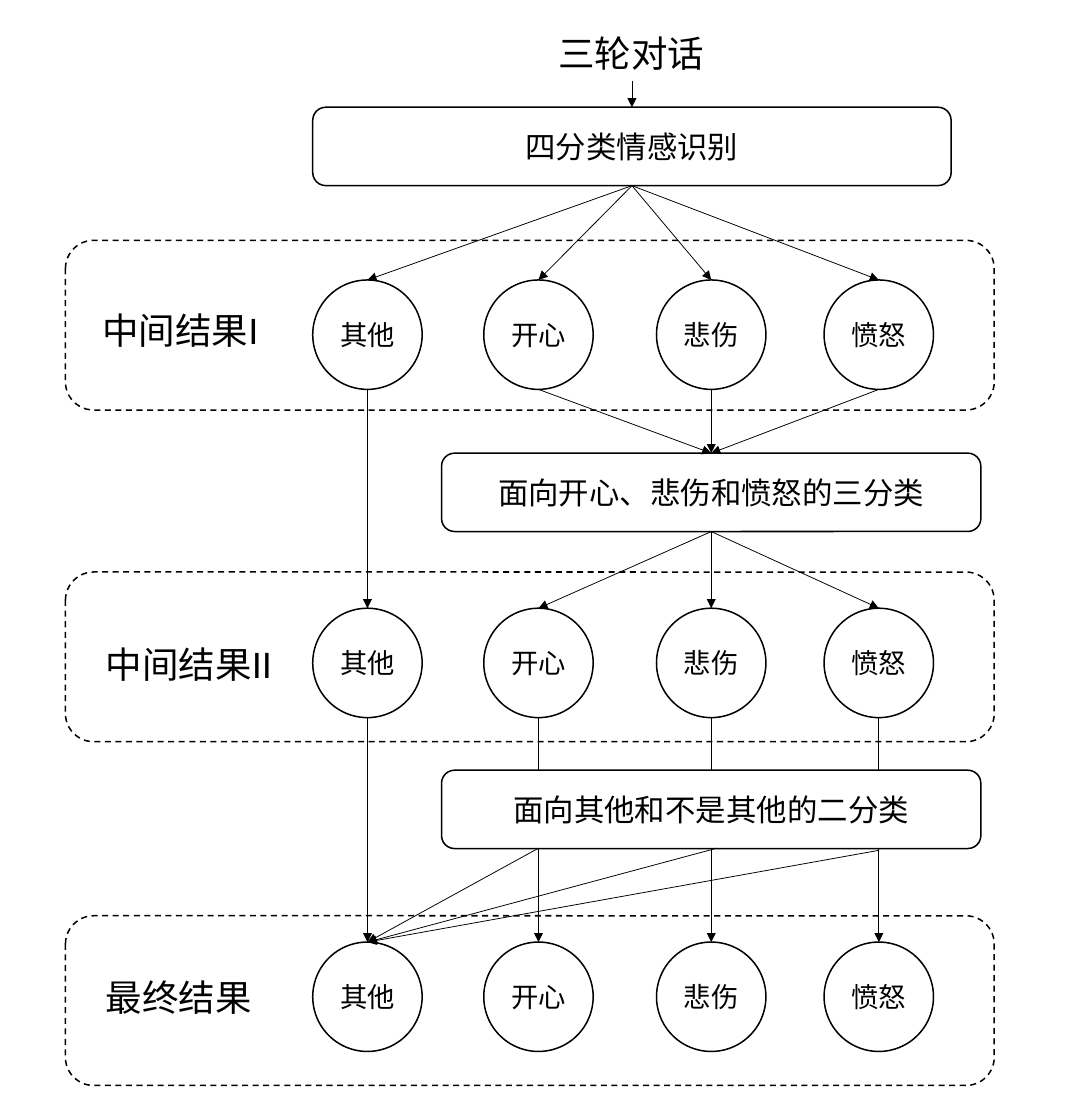
import pptx
import pptx.dml.color
import pptx.enum.dml
import pptx.enum.shapes
import pptx.enum.text
import pptx.oxml
import pptx.oxml.ns
import pptx.util

PX = 3600  # 100 px to the centimetre
BLACK = pptx.dml.color.RGBColor(0x00, 0x00, 0x00)
WHITE = pptx.dml.color.RGBColor(0xFF, 0xFF, 0xFF)
KIND = pptx.enum.shapes.MSO_SHAPE

MOODS = ["其他", "开心", "悲伤", "愤怒"]
LEFTS = [726, 1123, 1524, 1913]
TOPS = [650, 1412, 2187]
SIZE = 254
MIDS = [left + SIZE // 2 for left in LEFTS]
BOX_H = 182
FOUR_MID, FOUR_TOP = 1467, 249
THREE_MID, THREE_TOP = MIDS[2], 1052


def px(*nums):
    return [pptx.util.Emu(num * PX) for num in nums]


def write(frame, text, size, font):
    frame.text = text
    para = frame.paragraphs[0]
    para.font.size = pptx.util.Pt(size)
    para.font.name = font
    para.font.color.rgb = BLACK
    return para


def outline(slide, kind, area):
    shape = slide.shapes.add_shape(kind, *px(*area))
    shape.shadow.inherit = False
    shape.line.color.rgb = BLACK
    shape.line.width = pptx.util.Pt(1)
    return shape


def node(slide, kind, area, text, size):
    """Add a white shape with centred text."""
    shape = outline(slide, kind, area)
    shape.fill.solid()
    shape.fill.fore_color.rgb = WHITE
    frame = shape.text_frame
    frame.vertical_anchor = pptx.enum.text.MSO_ANCHOR.MIDDLE
    para = write(frame, text, size, "Calibri")
    para.alignment = pptx.enum.text.PP_ALIGN.CENTER
    return shape


def box(slide, mid, top, width, text):
    area = (mid - width // 2, top, width, BOX_H)
    return node(slide, KIND.ROUNDED_RECTANGLE, area, text, 20)


def row(slide, top):
    return [node(slide, KIND.OVAL, (left, top, SIZE, SIZE), mood, 18)
            for left, mood in zip(LEFTS, MOODS)]


def frame(slide, top):
    """Add the dashed outline around one row of results."""
    shape = outline(slide, KIND.ROUNDED_RECTANGLE, (152, top, 2156, 394))
    shape.fill.background()
    shape.line.dash_style = pptx.enum.dml.MSO_LINE.DASH


def label(slide, left, top, width, text, font="Arial"):
    area = slide.shapes.add_textbox(*px(left, top, width, 127))
    area.text_frame.word_wrap = False
    area.text_frame.auto_size = pptx.enum.text.MSO_AUTO_SIZE.SHAPE_TO_FIT_TEXT
    write(area.text_frame, text, 24, font)


def arrow(slide, start, end, source=None, target=None):
    """Draw an arrow, joined to the source's bottom and the target's top."""
    line = slide.shapes.add_connector(
        pptx.enum.shapes.MSO_CONNECTOR.STRAIGHT, *px(*start, *end))
    line.line.color.rgb = BLACK
    line.line.width = pptx.util.Pt(0.5)
    head = pptx.oxml.parse_xml(
        f'<a:tailEnd {pptx.oxml.ns.nsdecls("a")} type="triangle"/>')
    line.line._get_or_add_ln().append(head)
    props = line._element.spPr
    props.append(pptx.oxml.parse_xml(
        f'<a:effectLst {pptx.oxml.ns.nsdecls("a")}/>'))
    if source is not None:
        line.begin_connect(source, 2)
    if target is not None:
        line.end_connect(target, 0)


def main():
    deck = pptx.Presentation()
    deck.slide_width, deck.slide_height = px(2500, 2600)
    slide = deck.slides.add_slide(deck.slide_layouts[6])

    four = box(slide, FOUR_MID, FOUR_TOP, 1482, "四分类情感识别")
    three = box(slide, THREE_MID, THREE_TOP, 1252, "面向开心、悲伤和愤怒的三分类")
    first, second, final = [row(slide, top) for top in TOPS]
    low = [top + SIZE for top in TOPS]

    for mid, mood in zip(MIDS, first):
        arrow(slide, (FOUR_MID, FOUR_TOP + BOX_H), (mid, TOPS[0]), four, mood)
    arrow(slide, (MIDS[0], low[0]), (MIDS[0], TOPS[1]), target=second[0])
    for mid, mood in zip(MIDS[1:], second[1:]):
        arrow(slide, (mid, low[0]), (THREE_MID, THREE_TOP), target=three)
        arrow(slide, (THREE_MID, THREE_TOP + BOX_H), (mid, TOPS[1]), three, mood)
    for mid, mood in zip(MIDS, final):
        arrow(slide, (mid, low[1]), (mid, TOPS[2]), target=mood)

    box(slide, THREE_MID, 1788, 1252, "面向其他和不是其他的二分类")
    for start in [(1250, 1969), (1664, 1969), (2040, 1974)]:
        arrow(slide, start, (MIDS[0], TOPS[2]), target=final[0])

    label(slide, 1271, 60, 394, "三轮对话", "Calibri")
    arrow(slide, (FOUR_MID, 188), (FOUR_MID, FOUR_TOP), target=four)
    for top in [558, 1328, 2126]:
        frame(slide, top)
    label(slide, 213, 703, 437, "中间结果I")
    label(slide, 221, 1478, 478, "中间结果II")
    label(slide, 221, 2251, 394, "最终结果")

    deck.save("out.pptx")


if __name__ == "__main__":
    main()
